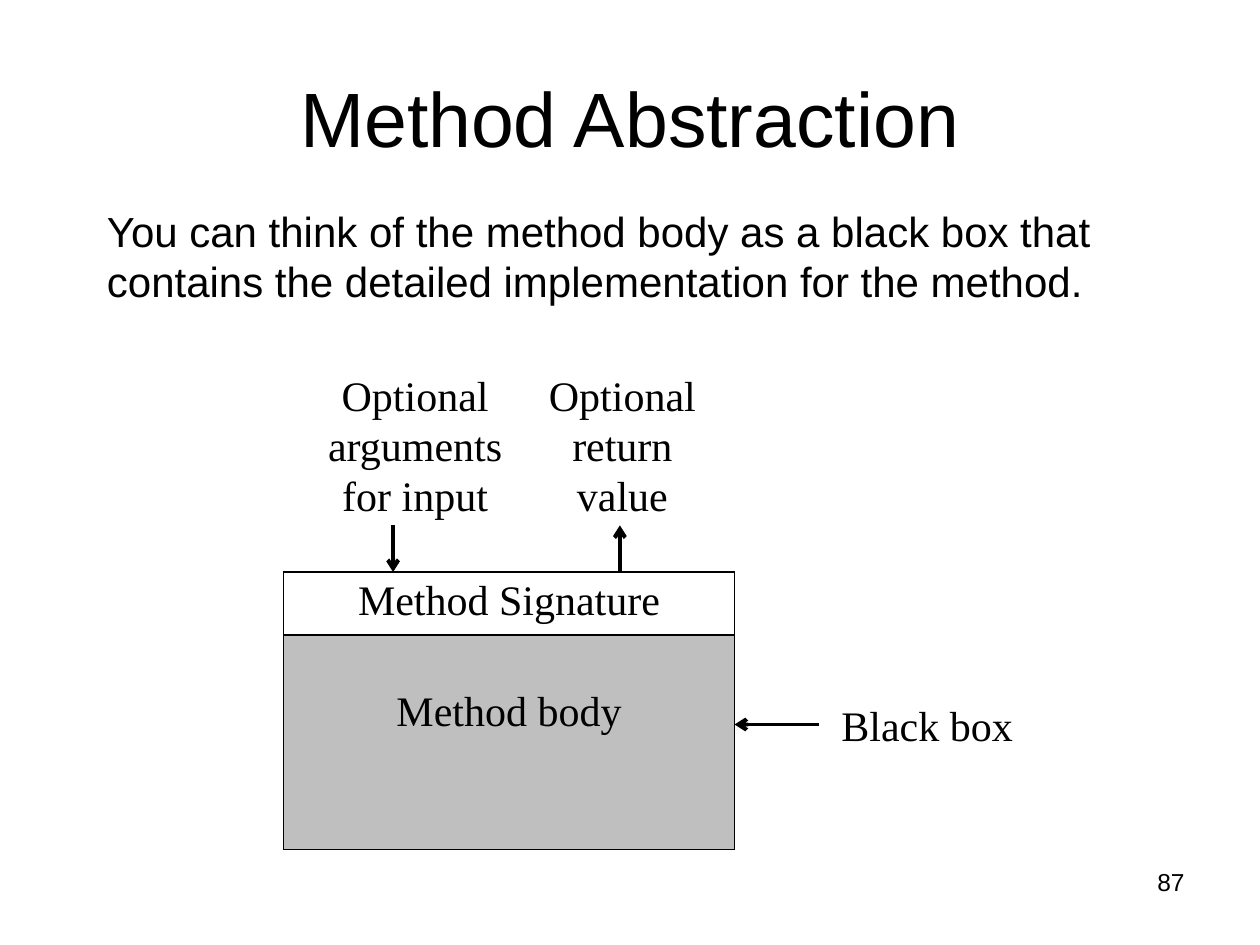
import pptx
import pptx.dml.color
import pptx.enum.shapes
import pptx.enum.text
import pptx.util
from lxml import etree
from pptx.oxml.ns import qn

Inches, Pt = pptx.util.Inches, pptx.util.Pt
ALIGN = pptx.enum.text.PP_ALIGN
ANCHOR = pptx.enum.text.MSO_ANCHOR
SANS, SERIF = "Arial", "Times New Roman"
BLACK, GREY = "000000", "BFBFBF"

# Content: text, place (left, top, width, height), font, size, alignment, wrap
TITLE = "Method Abstraction"
TITLE_PLACE = (0.5, 0.3, 9, 1.25)
TEXTS = [
    ("You can think of the method body as a black box that contains "
     "the detailed implementation for the method.",
     (0.75, 1.58, 8.75, 5.12), SANS, 24, ALIGN.LEFT, True),
    ("87", (7.17, 6.83, 2.33, 0.52), SANS, 14, ALIGN.RIGHT, True),
    ("Black box", (6.58, 5.5, 1.57, 0.5), SERIF, 24, ALIGN.LEFT, False),
    ("Optional arguments for input", (2.38, 2.88, 1.83, 1.31),
     SERIF, 24, ALIGN.CENTER, True),
    ("Optional return value", (4.21, 2.88, 1.46, 1.31),
     SERIF, 24, ALIGN.CENTER, True),
]
# Method parts: text, row height, fill, top margin
METHOD_PLACE = (2.25, 4.54, 3.58, 2.2)
METHOD_ROWS = [
    ("Method Signature", 0.5, None, 0.05),
    ("Method body", 1.7, GREY, 0.43),
]
# Arrows: start, end
ARROWS = [
    ((6.5, 5.75), (5.83, 5.75)),
    ((3.12, 4.17), (3.12, 4.54)),
    ((4.92, 4.54), (4.92, 4.17)),
]


def color(value):
    return pptx.dml.color.RGBColor.from_string(value)


def write(frame, text, font, size, align):
    frame.text = text
    para = frame.paragraphs[0]
    para.alignment = align
    span = para.runs[0]
    span.font.name = font
    span.font.size = Pt(size)
    span.font.color.rgb = color(BLACK)


def add_borders(cell):
    properties = cell._tc.get_or_add_tcPr()
    for index, side in enumerate(("lnL", "lnR", "lnT", "lnB")):
        line = etree.Element(qn("a:" + side), w=str(Pt(1)))
        fill = etree.SubElement(line, qn("a:solidFill"))
        etree.SubElement(fill, qn("a:srgbClr"), val=BLACK)
        properties.insert(index, line)


def add_arrow(page, start, end):
    arrow = page.shapes.add_connector(
        pptx.enum.shapes.MSO_CONNECTOR.STRAIGHT,
        *(Inches(value) for value in start + end))
    arrow.line.color.rgb = color(BLACK)
    arrow.line.width = Pt(2.25)
    etree.SubElement(arrow.line._get_or_add_ln(), qn("a:tailEnd"), type="arrow")
    etree.SubElement(arrow._element.spPr, qn("a:effectLst"))


deck = pptx.Presentation()
deck.slide_width, deck.slide_height = Inches(10), Inches(7.5)
page = deck.slides.add_slide(deck.slide_layouts[5])

# Title
title = page.shapes.title
title.left, title.top, title.width, title.height = map(Inches, TITLE_PLACE)
write(title.text_frame, TITLE, SANS, 44, ALIGN.CENTER)
title.text_frame.vertical_anchor = ANCHOR.MIDDLE

# Explanation, page number and diagram labels
for text, place, font, size, align, wrap in TEXTS:
    box = page.shapes.add_textbox(*map(Inches, place))
    box.text_frame.word_wrap = wrap
    write(box.text_frame, text, font, size, align)

# Method signature above its body
table = page.shapes.add_table(
    len(METHOD_ROWS), 1, *map(Inches, METHOD_PLACE)).table
table.first_row = table.horz_banding = False
for index, (text, height, fill, margin) in enumerate(METHOD_ROWS):
    table.rows[index].height = Inches(height)
    cell = table.cell(index, 0)
    write(cell.text_frame, text, SERIF, 24, ALIGN.CENTER)
    cell.margin_top = Inches(margin)
    if fill:
        cell.fill.solid()
        cell.fill.fore_color.rgb = color(fill)
    else:
        cell.fill.background()
    add_borders(cell)

# Arrows into and out of the method
for start, end in ARROWS:
    add_arrow(page, start, end)

deck.save("out.pptx")
